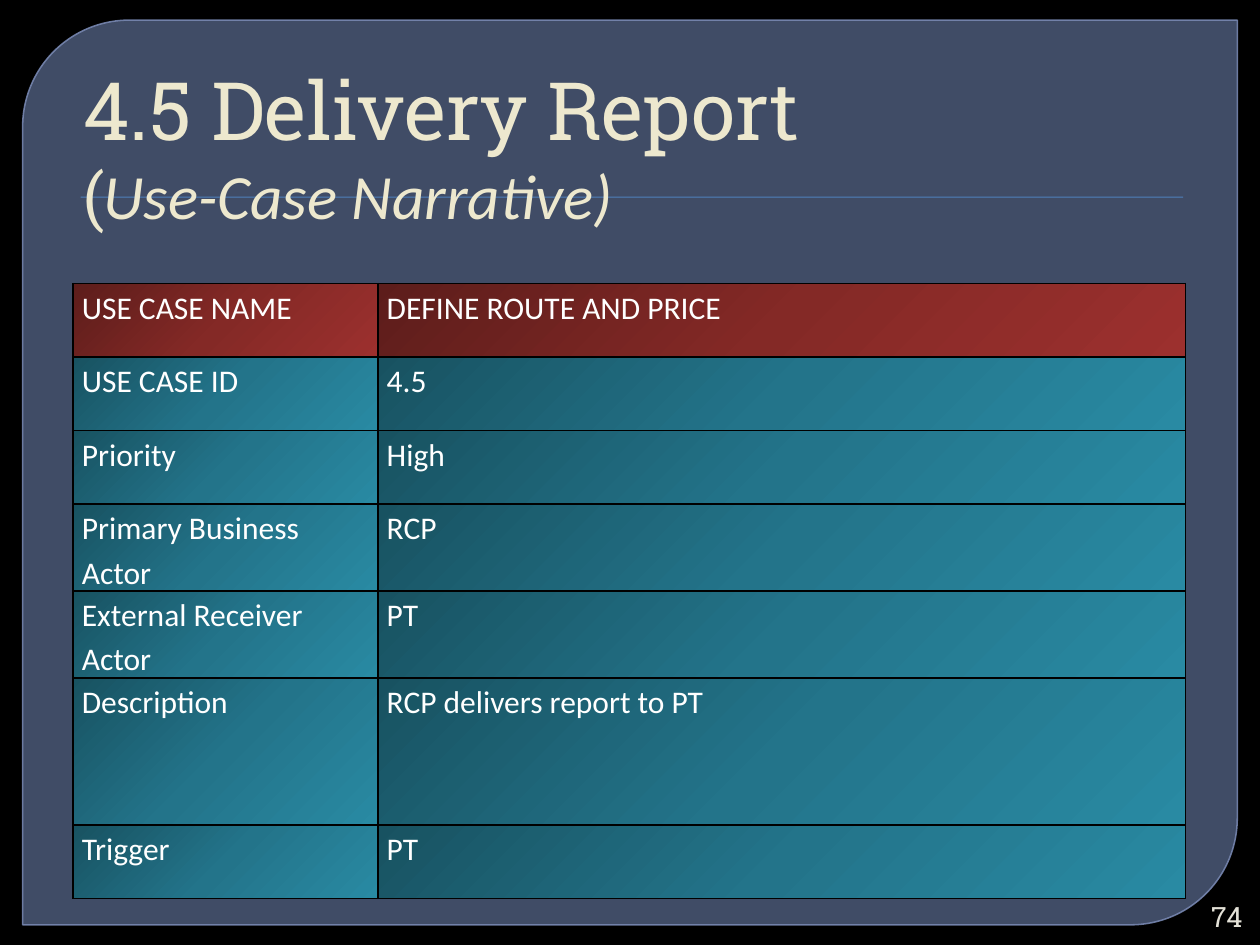
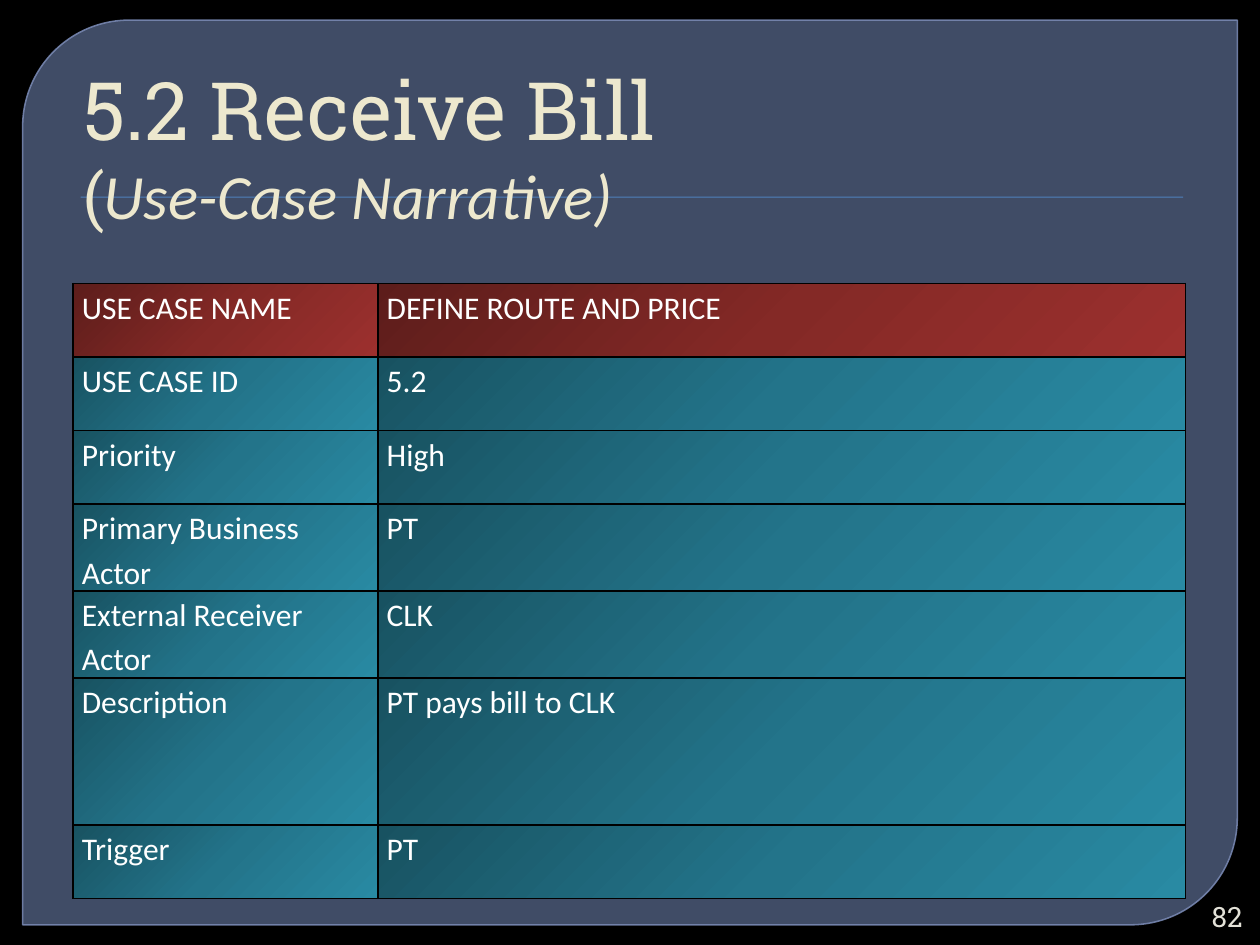
from dataclasses import dataclass

from lxml import etree
from pptx import Presentation
from pptx.dml.color import RGBColor
from pptx.enum.shapes import MSO_SHAPE
from pptx.enum.text import MSO_ANCHOR, PP_ALIGN
from pptx.oxml import parse_xml
from pptx.oxml.ns import nsdecls, qn
from pptx.util import Inches, Pt

PANEL = MSO_SHAPE.ROUND_2_DIAG_RECTANGLE
RECT = MSO_SHAPE.RECTANGLE
BOTTOM, MIDDLE = MSO_ANCHOR.BOTTOM, MSO_ANCHOR.MIDDLE
LEFT, RIGHT = PP_ALIGN.LEFT, PP_ALIGN.RIGHT

SLIDE_W, SLIDE_H = Inches(10), Inches(7.5)
HEAD_FONT, BODY_FONT = "Roboto Slab", "Calibri"
BLACK, WHITE, CREAM, PALE = "000000", "FFFFFF", "EDE8CE", "E3E1D7"
PANEL_FILL, PANEL_EDGE, RULE_BLUE = "63759D", "7989B3", "4F81BD"
RED_STOPS = ("5D1D1B", "842926", "9C302E")
TEAL_STOPS = ("185261", "23748A", "298AA3")

LABELS = ("USE CASE NAME", "USE CASE ID", "Priority", "Primary Business Actor",
          "External Receiver Actor", "Description", "Trigger")
COL_SHARES = (24.2, 64.1)
ROW_SHARE = 7.78
ROW_SPANS = (1, 1, 1, 1, 1, 2, 1)


@dataclass(frozen=True)
class Box:
    x: float
    y: float
    w: float
    h: float

    def emu(self) -> tuple[int, int, int, int]:
        return across(self.x), down(self.y), across(self.w), down(self.h)


@dataclass(frozen=True)
class Run:
    text: str
    size: float
    font: str
    color: str
    italic: bool = False


@dataclass(frozen=True)
class UseCase:
    number: str
    name: str
    actor: str
    receiver: str
    description: str
    trigger: str
    page: str

    def values(self) -> tuple[str, ...]:
        return ("DEFINE ROUTE AND PRICE", self.number, "High", self.actor,
                self.receiver, self.description, self.trigger)


PANEL_BOX = Box(1.8, 2.13, 96.4, 95.73)
RULE_BOX = Box(6.4, 20.8, 87.5, 0.13)
TITLE_BOX = Box(5, 3.73, 90, 20.8)
TABLE_BOX = Box(5.8, 30, sum(COL_SHARES), ROW_SHARE * sum(ROW_SPANS))
PAGE_BOX = Box(94.5, 94.93, 5.1, 4)

USE_CASES = (
    UseCase("4.5", "Delivery Report", "RCP", "PT", "RCP delivers report to PT", "PT", "74"),
    UseCase("5.2", "Receive Bill", "PT", "CLK", "PT pays bill to CLK", "PT", "82"),
)


def across(share: float) -> int:
    return round(SLIDE_W * share / 100)


def down(share: float) -> int:
    return round(SLIDE_H * share / 100)


def rgb(color: str) -> RGBColor:
    return RGBColor.from_string(color)


def set_alpha(fill_parent, percent: int) -> None:
    clr = fill_parent.find(qn("a:solidFill"))[0]
    etree.SubElement(clr, qn("a:alpha")).set("val", str(percent * 1000))


def add_run(p, run: Run) -> None:
    r = p.add_run()
    r.text = run.text
    r.font.size = Pt(run.size)
    r.font.name = run.font
    r.font.italic = run.italic
    r.font.color.rgb = rgb(run.color)


def add_text(slide, box: Box, anchor, align):
    tf = slide.shapes.add_textbox(*box.emu()).text_frame
    tf.word_wrap = True
    tf.vertical_anchor = anchor
    p = tf.paragraphs[0]
    p.alignment = align
    return tf, p


def add_block(slide, kind, box: Box, color: str):
    sp = slide.shapes.add_shape(kind, *box.emu())
    sp.shadow.inherit = False
    sp.fill.solid()
    sp.fill.fore_color.rgb = rgb(color)
    return sp


def add_frame(slide) -> None:
    slide.background.fill.solid()
    slide.background.fill.fore_color.rgb = rgb(BLACK)
    panel = add_block(slide, PANEL, PANEL_BOX, PANEL_FILL)
    panel.adjustments[0] = 0.118
    panel.adjustments[1] = 0
    panel.line.color.rgb = rgb(PANEL_EDGE)
    panel.line.width = Pt(0.87)
    sp_pr = panel._element.spPr
    set_alpha(sp_pr, 65)
    set_alpha(sp_pr.find(qn("a:ln")), 88)

    rule = add_block(slide, RECT, RULE_BOX, RULE_BLUE)
    rule.line.fill.background()
    rule._element.spPr.find(qn("a:effectLst")).append(parse_xml(
        f'<a:outerShdw {nsdecls("a")} blurRad="12700" dist="12700" dir="5400000">'
        f'<a:srgbClr val="{BLACK}"><a:alpha val="75000"/></a:srgbClr></a:outerShdw>'))


def add_title(slide, case: UseCase) -> None:
    tf, p = add_text(slide, TITLE_BOX, BOTTOM, LEFT)
    tf.margin_left = Inches(0.16)
    tf.margin_bottom = 0
    add_run(p, Run(f"{case.number} {case.name}", 46, HEAD_FONT, CREAM))
    p.add_line_break()
    add_run(p, Run("(", 36, HEAD_FONT, CREAM))
    add_run(p, Run("Use-Case Narrative)", 36, BODY_FONT, CREAM, italic=True))


def paint_cell(cell, stops: tuple[str, ...]) -> None:
    tc_pr = cell._tc.get_or_add_tcPr()
    for side in ("lnL", "lnR", "lnT", "lnB"):
        tc_pr.append(parse_xml(
            f'<a:{side} {nsdecls("a")} w="12700"><a:solidFill>'
            f'<a:srgbClr val="{BLACK}"/></a:solidFill></a:{side}>'))
    marks = "".join(f'<a:gs pos="{i * 50000}"><a:srgbClr val="{c}"/></a:gs>'
                    for i, c in enumerate(stops))
    tc_pr.append(parse_xml(
        f'<a:gradFill {nsdecls("a")}><a:gsLst>{marks}</a:gsLst>'
        '<a:lin ang="2700000" scaled="0"/></a:gradFill>'))


def fill_cell(cell, text: str, stops: tuple[str, ...]) -> None:
    cell.margin_left = cell.margin_right = Inches(0.07)
    cell.margin_top = cell.margin_bottom = 0
    p = cell.text_frame.paragraphs[0]
    p.line_spacing = 1.15
    add_run(p, Run(text, 18, BODY_FONT, WHITE))
    paint_cell(cell, stops)


def add_narrative(slide, case: UseCase) -> None:
    rows = list(zip(LABELS, case.values()))
    table = slide.shapes.add_table(len(rows), len(COL_SHARES), *TABLE_BOX.emu()).table
    table.horz_banding = False
    for col, share in zip(table.columns, COL_SHARES):
        col.width = across(share)
    for i, (texts, span) in enumerate(zip(rows, ROW_SPANS)):
        table.rows[i].height = down(ROW_SHARE * span)
        for j, text in enumerate(texts):
            fill_cell(table.cell(i, j), text, TEAL_STOPS if i else RED_STOPS)


def add_page_number(slide, page: str) -> None:
    _, p = add_text(slide, PAGE_BOX, MIDDLE, RIGHT)
    add_run(p, Run(page, 16, HEAD_FONT, PALE))


def main() -> None:
    prs = Presentation()
    prs.slide_width, prs.slide_height = SLIDE_W, SLIDE_H
    for case in USE_CASES:
        slide = prs.slides.add_slide(prs.slide_layouts[6])
        add_frame(slide)
        add_title(slide, case)
        add_narrative(slide, case)
        add_page_number(slide, case.page)
    prs.save("out.pptx")


if __name__ == "__main__":
    main()
